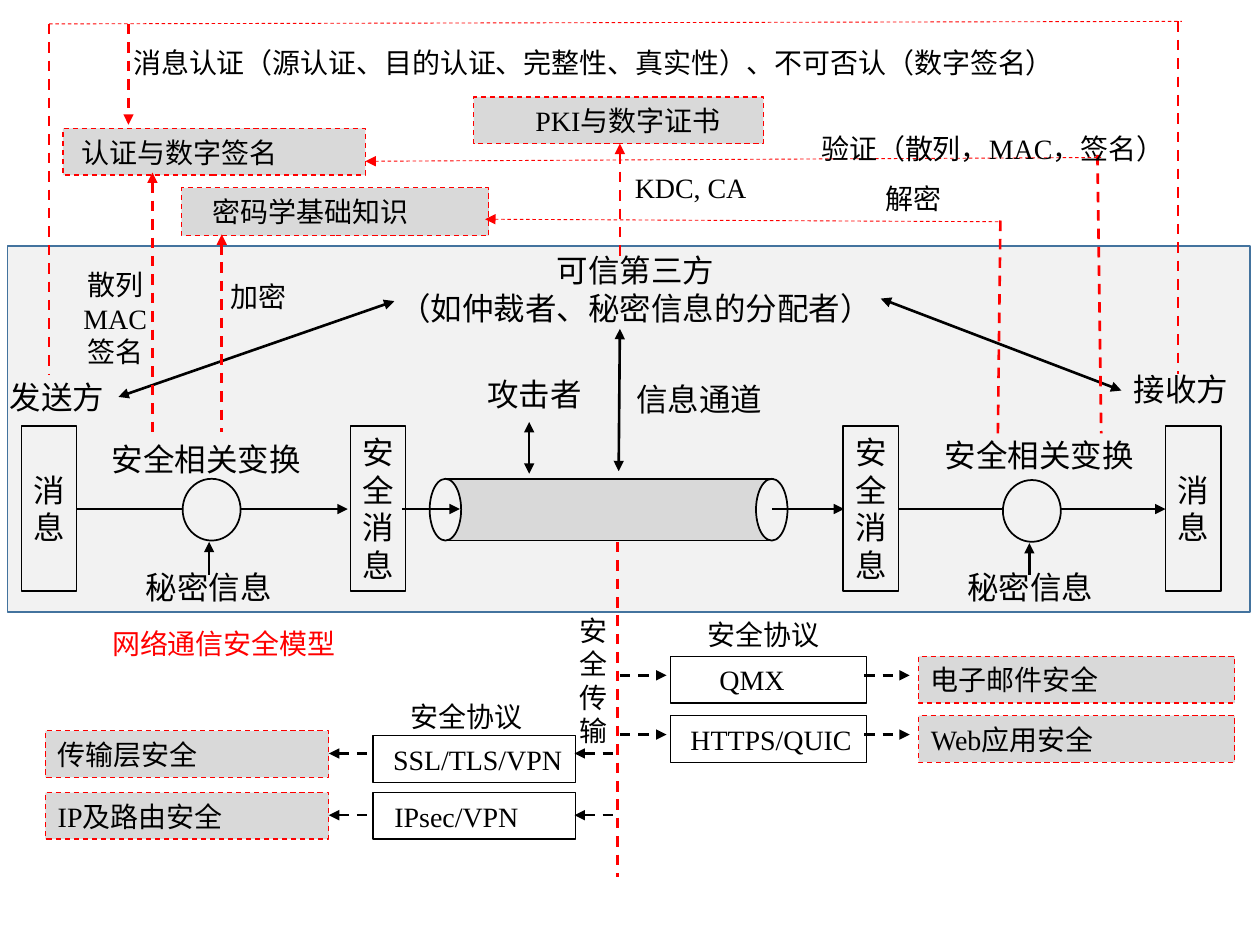
from dataclasses import dataclass
from typing import Any

from lxml import etree
from pptx import Presentation
from pptx.dml.color import RGBColor
from pptx.enum.dml import MSO_LINE
from pptx.enum.shapes import MSO_CONNECTOR, MSO_SHAPE
from pptx.enum.text import MSO_ANCHOR, MSO_AUTO_SIZE, PP_ALIGN
from pptx.oxml.ns import qn
from pptx.util import Inches, Pt

RECT, OVAL = MSO_SHAPE.RECTANGLE, MSO_SHAPE.OVAL
STRAIGHT, DASH = MSO_CONNECTOR.STRAIGHT, MSO_LINE.DASH
LEFT, CENTER = PP_ALIGN.LEFT, PP_ALIGN.CENTER
MIDDLE = MSO_ANCHOR.MIDDLE
FIT_SHAPE, NO_FIT = MSO_AUTO_SIZE.SHAPE_TO_FIT_TEXT, MSO_AUTO_SIZE.NONE
SERIF, SANS = "Times New Roman", "Noto Sans CJK SC"
BLACK, RED, BLUE, PALE, GREY = "000000", "FF0000", "43739E", "F2F2F2", "D9D9D9"


def color(hex_value):
    return RGBColor.from_string(hex_value)


def write(frame, text, size=16, font=SERIF, ink=BLACK, align=LEFT,
          wrap=True, inset=0.1, fit=NO_FIT):
    """Fill a text frame, one paragraph for each line of the text."""
    frame.word_wrap, frame.auto_size = wrap, fit
    frame.vertical_anchor = MIDDLE
    frame.margin_left, frame.margin_right = Inches(inset), Inches(0.1)
    frame.margin_top = frame.margin_bottom = Inches(0.05)
    frame.text = text
    for paragraph in frame.paragraphs:
        paragraph.alignment = align
        paragraph.line_spacing = Pt(size * 1.2)
        paragraph.space_before = Pt(0)
        for run in paragraph.runs:
            run.font.size, run.font.name = Pt(size), font
            run.font.color.rgb = color(ink)
            east_asian = etree.SubElement(run.font._element, qn("a:ea"))
            east_asian.set("typeface", SANS)


@dataclass
class Region:
    """Draws with positions measured from its own top left corner."""
    shapes: Any
    left: float
    top: float

    def place(self, x, y):
        return Inches(self.left + x), Inches(self.top + y)

    def box(self, x, y, width, height, text="", kind=RECT, fill=None,
            edge=BLACK, weight=0.75, dash=None, **text_format):
        shape = self.shapes.add_shape(kind, *self.place(x, y), Inches(width), Inches(height))
        shape.shadow.inherit = False
        if fill:
            shape.fill.solid()
            shape.fill.fore_color.rgb = color(fill)
        else:
            shape.fill.background()
        shape.line.color.rgb, shape.line.width = color(edge), Pt(weight)
        shape.line.dash_style = dash
        if text:
            write(shape.text_frame, text, **text_format)

    def topic(self, x, y, width, text, height=0.37, inset=0.1):
        self.box(x, y, width, height, text, fill=GREY, edge=RED, dash=DASH, inset=inset)

    def label(self, x, y, width, text, height=0.37, wrap=False, **text_format):
        area = self.shapes.add_textbox(*self.place(x, y), Inches(width), Inches(height))
        write(area.text_frame, text, wrap=wrap, fit=FIT_SHAPE, **text_format)

    def line(self, x1, y1, x2, y2, ink=BLACK, weight=1.5, dash=None, head=False, tail=False):
        link = self.shapes.add_connector(STRAIGHT, *self.place(x1, y1), *self.place(x2, y2))
        link.line.color.rgb, link.line.width = color(ink), Pt(weight)
        link.line.dash_style = dash
        outline = link.line._get_or_add_ln()
        for end, wanted in (("a:headEnd", head), ("a:tailEnd", tail)):
            if wanted:
                etree.SubElement(outline, qn(end)).set("type", "triangle")
        etree.SubElement(link._element.spPr, qn("a:effectLst"))

    def red_line(self, *ends, **style):
        self.line(*ends, ink=RED, dash=DASH, **style)


def draw_channel(slide, left, top):
    channel = Region(slide.shapes.add_group_shape().shapes, left, top)
    channel.box(0.13, 0, 2.6, 0.49, fill=GREY, weight=1)
    for x in (2.59, 0):
        channel.box(x, 0, 0.25, 0.49, kind=OVAL, fill=PALE, weight=1)


def draw_model(slide, left, top):
    """The communication model: sender, channel, receiver, third party."""
    model = Region(slide.shapes, left, top)
    model.box(0, 0, 9.86, 2.91, fill=PALE, edge=BLUE, weight=1)
    draw_channel(slide, left + 3.35, top + 1.85)

    for x, content in ((0.11, "消息"), (2.72, "安全消息"), (6.63, "安全消息"), (9.19, "消息")):
        model.box(x, 1.43, 0.44, 1.31, "\n".join(content), size=18, align=CENTER)

    flow = 2.09
    for circle_x, circle_y, name_x, name_y, secret_x in (
            (1.39, 1.85, 0.73, 1.49, 1.0), (7.9, 1.86, 7.34, 1.46, 7.52)):
        model.box(circle_x, circle_y, 0.46, 0.49, kind=OVAL, weight=1)
        model.label(name_x, name_y, 1.72, "安全相关变换", 0.4, size=18, font=SANS)
        model.label(secret_x, 2.51, 1.22, "秘密信息", 0.4, size=18, font=SANS)
        key_x = circle_x + 0.21
        model.line(key_x, circle_y + 0.5, key_x, 2.61, head=True)
    for start, end, arrow in (
            (0.55, 1.39, False), (1.85, 2.7, True), (3.13, 3.59, True),
            (6.07, 6.64, True), (7.07, 7.9, False), (8.35, 9.19, True)):
        model.line(start, flow, end, flow, tail=arrow)

    for x, y, width, name in (
            (-0.08, 1.0, 0.96, "发送方"), (8.84, 0.94, 0.96, "接收方"),
            (4.89, 1.02, 1.21, "信息通道"), (3.71, 0.98, 0.96, "攻击者")):
        model.label(x, y, width, name, 0.4, size=18, font=SANS)
    model.label(2.93, -0.01, 4.11, "可信第三方\n（如仲裁者、秘密信息的分配者）", 0.71,
                size=18, font=SANS, align=CENTER)
    for ends in ((0.88, 1.2, 3.07, 0.44), (6.93, 0.42, 8.84, 1.15),
                 (4.14, 1.4, 4.14, 1.81), (4.86, 0.66, 4.85, 1.79)):
        model.line(*ends, head=True, tail=True)


def draw_knowledge(slide, left, top):
    """The topics above the model and their red links into it."""
    knowledge = Region(slide.shapes, left, top)
    knowledge.topic(3.37, 0.6, 2.3, "PKI与数字证书", inset=0.49)
    knowledge.topic(1.05, 1.32, 2.44, "密码学基础知识", 0.38, inset=0.25)
    knowledge.topic(0.11, 0.85, 2.4, "认证与数字签名", inset=0.15)

    for ends in ((1.37, 1.69, 1.37, 3.26), (0.82, 1.2, 0.82, 3.27), (4.53, 0.97, 4.53, 1.91)):
        knowledge.red_line(*ends, head=True)
    knowledge.red_line(0.63, 0.02, 0.63, 0.82, tail=True)
    for ends in ((0, 0.02, 0, 2.8), (8.96, 0, 8.96, 2.8),
                 (8.32, 1.06, 8.35, 3.27), (7.55, 1.58, 7.53, 3.27)):
        knowledge.red_line(*ends)
    knowledge.red_line(0, 0.02, 8.99, 0, weight=0.5)
    for ends in ((2.51, 1.11, 8.35, 1.08), (3.46, 1.57, 7.55, 1.59)):
        knowledge.red_line(*ends, weight=0.5, head=True)

    knowledge.label(0.57, 0.14, 7.67, "消息认证（源认证、目的认证、完整性、真实性）、不可否认（数字签名）")
    knowledge.label(4.55, 1.13, 1.1, "KDC, CA")
    knowledge.label(1.34, 2.0, 0.65, "加密")
    knowledge.label(6.54, 1.22, 0.65, "解密")
    knowledge.label(0.17, 1.9, 0.71, "散列\nMAC\n签名", 0.91, align=CENTER)
    knowledge.label(6.01, 0.69, 2.96, "验证（散列，MAC，签名）", 0.63, wrap=True, align=CENTER)


def draw_protocols(slide, left, top):
    """Secure transport below the model: protocols and what they protect."""
    protocols = Region(slide.shapes, left, top)
    protocols.red_line(4.54, -0.51, 4.54, 2.15)
    protocols.label(4.14, 0, 0.43, "安\n全\n传\n输", 1.18)
    protocols.label(2.8, 0.69, 1.1, "安全协议")
    protocols.label(5.16, 0.04, 1.1, "安全协议")

    for y, protocol, inset, topic_y, topic, link_y in (
            (1.03, "SSL/TLS/VPN", 0.16, 0.99, "传输层安全", 1.17),
            (1.48, "IPsec/VPN", 0.17, 1.48, "IP及路由安全", 1.66)):
        protocols.box(2.6, y, 1.61, 0.37, protocol, inset=inset, wrap=False)
        protocols.topic(0, topic_y, 2.25, topic)
        for start, end in ((2.25, 2.59), (4.2, 4.52)):
            protocols.line(start, link_y, end, link_y, dash=DASH, head=True)

    for y, protocol, inset, topic in (
            (0.4, "QMX", 0.39, "电子邮件安全"), (0.87, "HTTPS/QUIC", 0.16, "Web应用安全")):
        protocols.box(4.96, y, 1.56, 0.37, protocol, inset=inset, wrap=False)
        protocols.topic(6.93, y, 2.51, topic)
        for start, end in ((4.56, 4.93), (6.5, 6.86)):
            protocols.line(start, y + 0.15, end, y + 0.15, dash=DASH, tail=True)


def set_title(slide, left, top):
    title = slide.shapes.title
    title.left, title.top = Inches(left), Inches(top)
    title.width, title.height = Inches(2), Inches(0.37)
    write(title.text_frame, "网络通信安全模型", ink=RED, wrap=False)


def main():
    deck = Presentation()
    deck.slide_width, deck.slide_height = Inches(10), Inches(7.5)
    slide = deck.slides.add_slide(deck.slide_layouts[5])
    set_title(slide, 0.79, 4.92)
    draw_model(slide, 0.06, 1.95)
    draw_knowledge(slide, 0.39, 0.17)
    draw_protocols(slide, 0.36, 4.81)
    deck.save("out.pptx")


if __name__ == "__main__":
    main()
